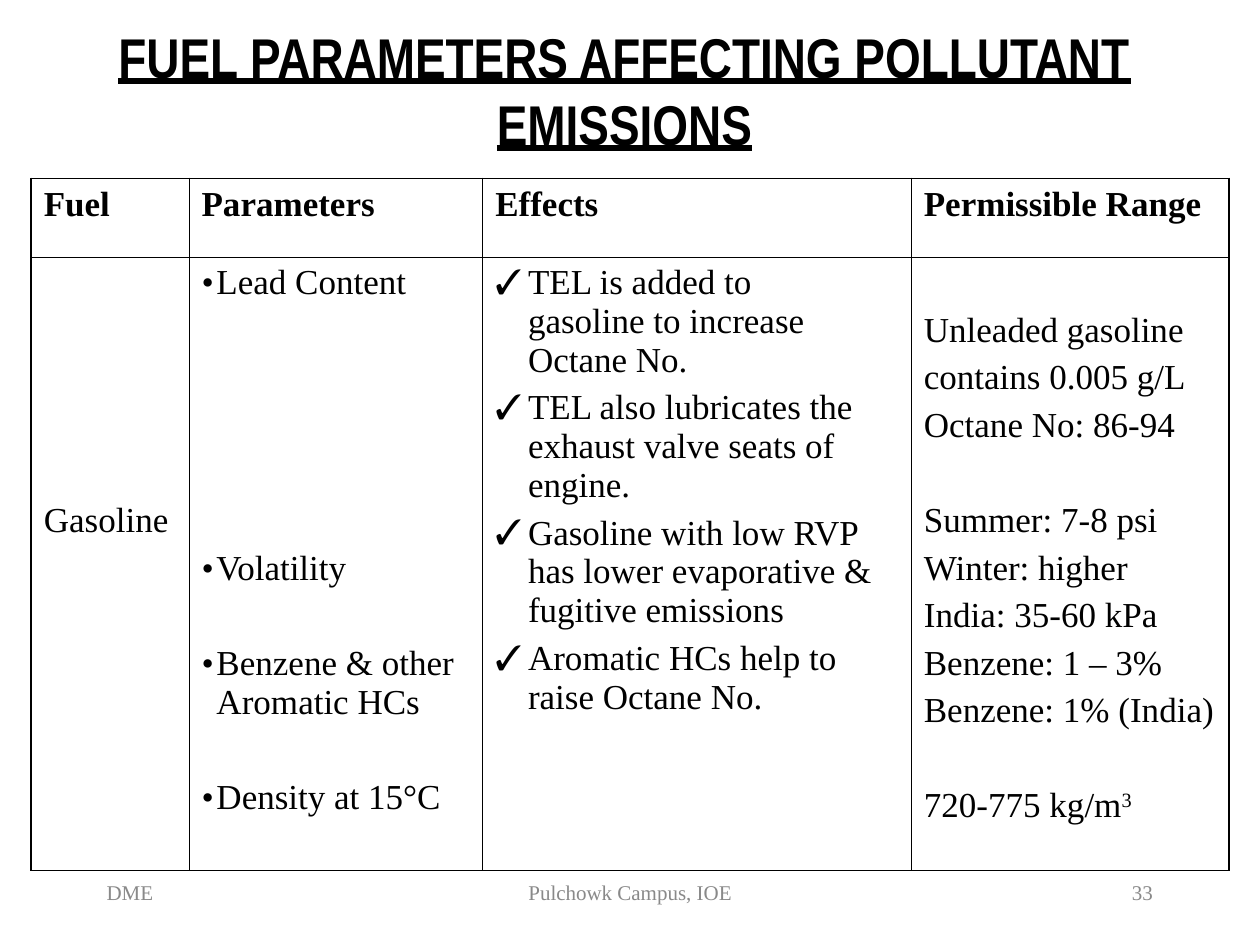
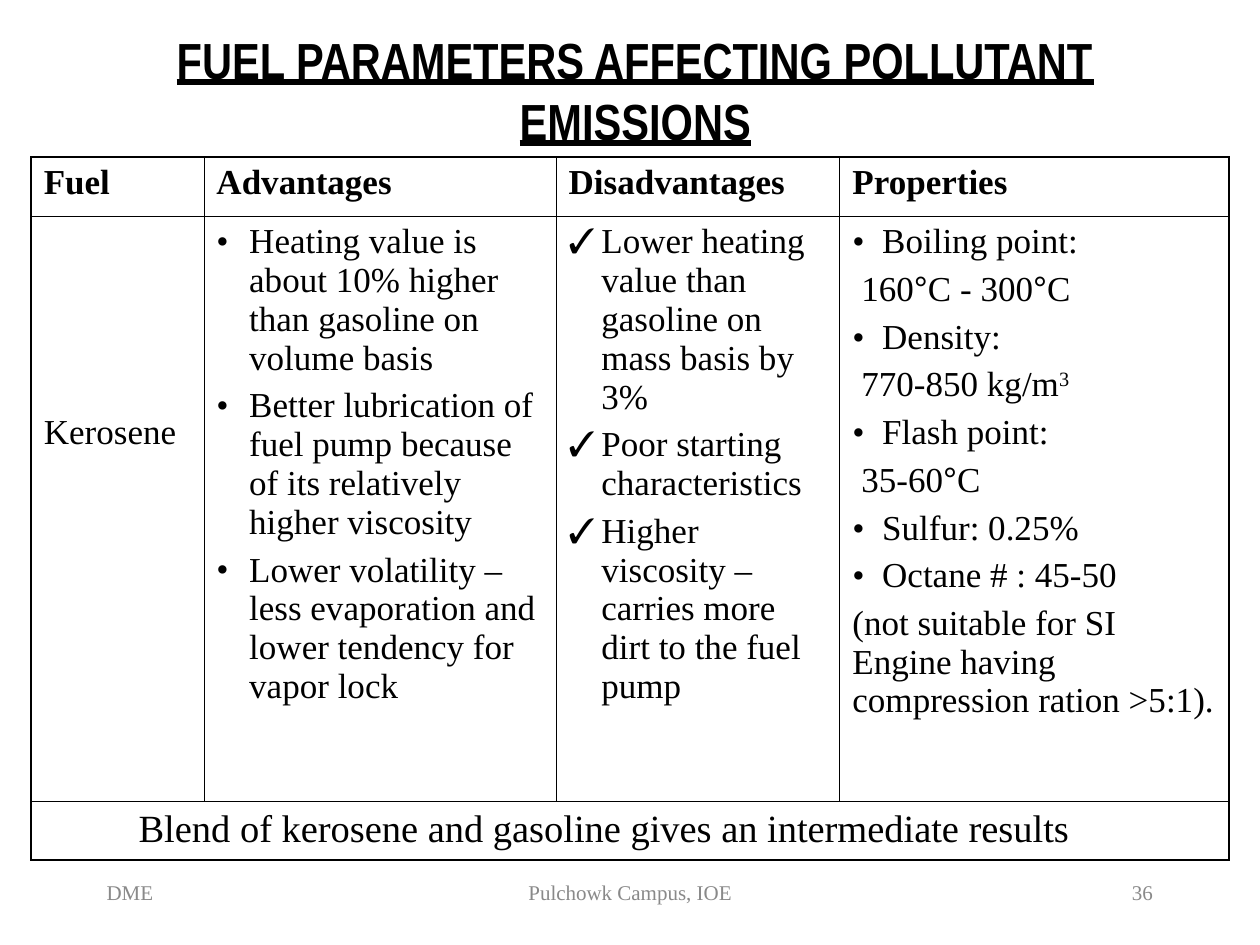
from dataclasses import dataclass
from itertools import groupby

from lxml import etree
from pptx import Presentation
from pptx import util as u
from pptx.dml import color
from pptx.enum import text
from pptx.oxml import ns

BLACK = "000000"
FOOTER_GREY = "898989"
TITLE_FONT = "Arial Narrow"
BODY_FONT = "Times New Roman"
DEGREE_FONT = "Arial"
TITLE = "FUEL PARAMETERS AFFECTING POLLUTANT EMISSIONS"

BODY_SIZE = 20
PARAGRAPH_SPACE = 5
LINE_STEP = 27.2  # one body line with its space before, in points
CELL_MARGIN_TOP = 3.6
INNER_BORDER, OUTER_BORDER = 0.45, 1.08

TABLE_LEFT = 0.63
FOOTER_TOP, FOOTER_HEIGHT = 17.35, 1.27
DOT, CHECK = "•", "✓"
LEFT, CENTER, RIGHT = (text.PP_ALIGN.LEFT, text.PP_ALIGN.CENTER,
                       text.PP_ALIGN.RIGHT)


@dataclass
class Line:
    """One cell paragraph; skip counts the free lines above it."""
    words: str
    bullet: str = ""
    hang: float = 0.0
    indent: float = 0.0
    skip: int = 0
    superscript: str = ""
    degree_font: str = BODY_FONT


def rgb(value):
    return color.RGBColor.from_string(value)


def format_font(font, size, name=BODY_FONT, colour=BLACK, bold=False):
    font.size = u.Pt(size)
    font.name = name
    font.bold = bold
    font.color.rgb = rgb(colour)


def add_child(parent, tag, **attributes):
    return etree.SubElement(parent, ns.qn(tag), **attributes)


def set_indent(paragraph, line):
    properties = paragraph._p.get_or_add_pPr()
    properties.set("marL", str(u.Cm(line.hang + line.indent)))
    properties.set("indent", str(-u.Cm(line.hang)))
    if line.bullet:
        bullet_colour = add_child(properties, "a:buClr")
        add_child(bullet_colour, "a:srgbClr", val=BLACK)
        add_child(properties, "a:buFont", typeface=BODY_FONT)
        add_child(properties, "a:buChar", char=line.bullet)
    else:
        add_child(properties, "a:buNone")


def write_line(paragraph, line, bold):
    set_indent(paragraph, line)
    if line.degree_font == BODY_FONT:
        paragraph.text = line.words
    else:
        for is_degree, letters in groupby(line.words, lambda c: c == "°"):
            paragraph.add_run().text = "".join(letters)
    for run in paragraph.runs:
        name = line.degree_font if run.text == "°" else BODY_FONT
        format_font(run.font, BODY_SIZE, name, bold=bold)
    if line.superscript:
        run = paragraph.add_run()
        run.text = line.superscript
        format_font(run.font, BODY_SIZE, bold=bold)
        run.font._element.set("baseline", "30000")


def fill_cell(cell, lines, bold=False):
    """Write the lines; free lines above the first become top margin."""
    frame = cell.text_frame
    cell.margin_top = u.Pt(CELL_MARGIN_TOP + lines[0].skip * LINE_STEP)
    for index, line in enumerate(lines):
        paragraph = frame.add_paragraph() if index else frame.paragraphs[0]
        write_line(paragraph, line, bold)
        if index:
            paragraph.space_before = u.Pt(
                PARAGRAPH_SPACE + line.skip * LINE_STEP)


def set_borders(cell, outer_sides):
    properties = cell._tc.get_or_add_tcPr()
    for position, side in enumerate("LRTB"):
        width = OUTER_BORDER if side in outer_sides else INNER_BORDER
        border = etree.Element(ns.qn(f"a:ln{side}"), w=str(u.Pt(width)))
        fill = add_child(border, "a:solidFill")
        add_child(fill, "a:srgbClr", val=BLACK)
        properties.insert(position, border)


def add_fuel_table(slide, top, widths, heights, headings, cells):
    """Add headings and one row of fuel details; further rows are merged."""
    table = slide.shapes.add_table(
        len(heights), len(widths), u.Cm(TABLE_LEFT), u.Cm(top),
        u.Cm(sum(widths)), u.Cm(sum(heights))).table
    table.first_row = table.horz_banding = False
    for column, width in zip(table.columns, widths):
        column.width = u.Cm(width)
    for row, height in zip(table.rows, heights):
        row.height = u.Cm(height)
    for row in range(2, len(heights)):
        table.cell(row, 0).merge(table.cell(row, len(widths) - 1))

    last_row, last_column = len(heights) - 1, len(widths) - 1
    for row in range(len(heights)):
        for column in range(len(widths)):
            cell = table.cell(row, column)
            cell.fill.background()
            span = cell.span_width if cell.is_merge_origin else 1
            edges = {"L": column == 0, "R": column + span - 1 == last_column,
                     "T": row == 0, "B": row == last_row}
            set_borders(cell, [side for side in edges if edges[side]])
    for column, (heading, lines) in enumerate(zip(headings, cells)):
        fill_cell(table.cell(0, column), [Line(heading)], bold=True)
        fill_cell(table.cell(1, column), lines)


def add_label(slide, words, box, size, colour, align,
              anchor=text.MSO_ANCHOR.MIDDLE):
    shape = slide.shapes.add_textbox(*(u.Cm(length) for length in box))
    frame = shape.text_frame
    frame.word_wrap = True
    frame.vertical_anchor = anchor
    frame.text = words
    paragraph = frame.paragraphs[0]
    paragraph.alignment = align
    format_font(paragraph.runs[0].font, size, colour=colour)


def add_footers(slide, number):
    for words, left, width, align in (
            ("DME", 1.9, 5.28, LEFT),
            ("Pulchowk Campus, IOE", 8.68, 8.05, CENTER),
            (str(number), 18.21, 5.28, RIGHT)):
        add_label(slide, words, (left, FOOTER_TOP, width, FOOTER_HEIGHT),
                  12, FOOTER_GREY, align)


def add_fuel_slide(presentation, number, title_width, title_size):
    slide = presentation.slides.add_slide(presentation.slide_layouts[5])
    title = slide.shapes.title
    title.left, title.top = u.Cm(1.06), u.Cm(0.63)
    title.width, title.height = u.Cm(title_width), u.Cm(2.34)
    frame = title.text_frame
    frame.text = TITLE
    frame.word_wrap = True
    frame.auto_size = text.MSO_AUTO_SIZE.NONE
    frame.vertical_anchor = text.MSO_ANCHOR.MIDDLE
    paragraph = frame.paragraphs[0]
    paragraph.alignment = CENTER
    font = paragraph.runs[0].font
    format_font(font, title_size, TITLE_FONT, bold=True)
    font.underline = True
    add_footers(slide, number)
    return slide


def bullets(mark, *items):
    return [Line(item, mark, hang=0.66) for item in items]


def property_name(words):
    return Line(words, DOT, hang=0.6)


def property_value(words, superscript=""):
    return Line(words, indent=0.18, superscript=superscript,
                degree_font=DEGREE_FONT)


def add_gasoline_slide(presentation):
    slide = add_fuel_slide(presentation, 33, 23.06, 32)
    parameters = [
        Line(words, DOT, hang=0.3, skip=skip) for words, skip in (
            ("Lead Content", 0), ("Volatility", 5),
            ("Benzene & other Aromatic HCs", 1), ("Density at 15°C", 1))]
    effects = bullets(
        CHECK,
        "TEL is added to\vgasoline to increase Octane No.",
        "TEL also lubricates the exhaust valve seats of engine.",
        "Gasoline with low RVP has lower evaporative & fugitive emissions",
        "Aromatic HCs help to raise Octane No.")
    ranges = [
        Line("Unleaded gasoline", skip=1),
        Line("contains 0.005 g/L"),
        Line("Octane No: 86-94"),
        Line("Summer: 7-8 psi", skip=1),
        Line("Winter: higher"),
        Line("India: 35-60 kPa"),
        Line("Benzene: 1 – 3%"),
        Line("Benzene: 1% (India)"),
        Line("720-775 kg/m", skip=1, superscript="3")]
    add_fuel_table(
        slide, 3.6, (3.18, 5.92, 8.64, 6.4), (1.58, 12.37),
        ("Fuel", "Parameters", "Effects", "Permissible Range"),
        ([Line("Gasoline", skip=5)], parameters, effects, ranges))


def add_kerosene_slide(presentation):
    slide = add_fuel_slide(presentation, 36, 23.5, 29)
    advantages = bullets(
        DOT,
        "Heating value is about 10% higher than gasoline on volume basis",
        "Better lubrication of fuel pump because of its relatively higher "
        "viscosity",
        "Lower volatility – less evaporation and lower tendency for vapor "
        "lock")
    disadvantages = bullets(
        CHECK,
        "Lower heating value than gasoline on mass basis by 3%",
        "Poor starting characteristics",
        "Higher viscosity – carries more dirt to the fuel pump")
    properties = [
        property_name("Boiling point:"),
        property_value("160°C - 300°C"),
        property_name("Density:"),
        property_value("770-850 kg/m", superscript="3"),
        property_name("Flash point:"),
        property_value("35-60°C"),
        property_name("Sulfur: 0.25%"),
        property_name("Octane # : 45-50"),
        Line("(not suitable for SI Engine having compression ration >5:1).")]
    add_fuel_table(
        slide, 3.17, (3.48, 7.1, 5.72, 7.84), (1.19, 11.8, 1.18),
        ("Fuel", "Advantages", "Disadvantages", "Properties"),
        ([Line("Kerosene", skip=4)], advantages, disadvantages, properties))
    add_label(
        slide, "Blend of kerosene and gasoline gives an intermediate results",
        (1.48, 16.08, 21.39, 1.19), 22, BLACK, CENTER, text.MSO_ANCHOR.TOP)


def main():
    presentation = Presentation()
    presentation.slide_width = u.Cm(25.4)
    presentation.slide_height = u.Cm(19.05)
    add_gasoline_slide(presentation)
    add_kerosene_slide(presentation)
    presentation.save("out.pptx")


if __name__ == "__main__":
    main()
